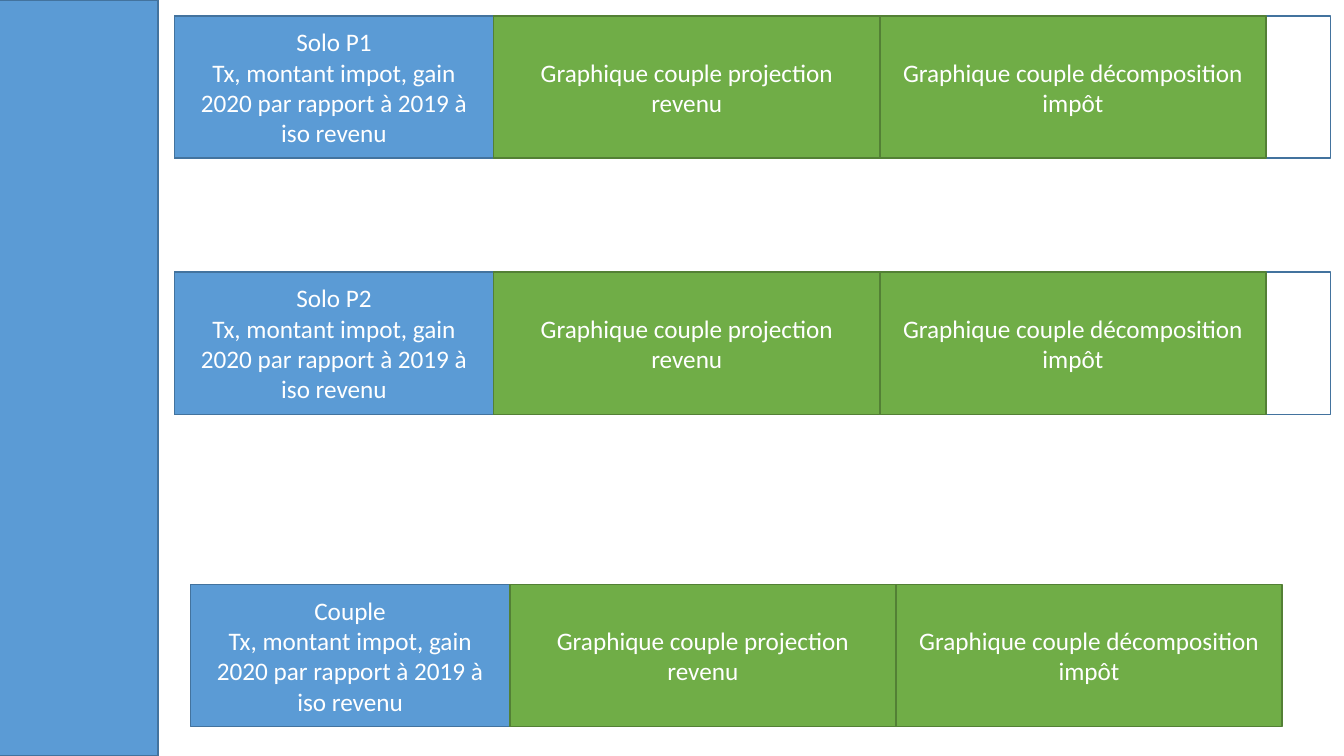
"""Build the slide of solo and couple tax result rows beside a side bar."""
import dataclasses
import typing

import pptx
import pptx.dml.color
import pptx.enum.shapes
import pptx.enum.text
import pptx.util

Pt = pptx.util.Pt
BLUE, BLUE_LINE = "5B9BD5", "43739E"
GREEN, GREEN_LINE = "70AD47", "538035"
WHITE = "FFFFFF"
ROW_H, FRAME_W, SUMMARY_W, CHART_W = 101.5, 825.8, 228.2, 275.8
SUMMARY = "Tx, montant impot, gain 2020 par rapport à 2019 à iso revenu"
CHARTS = ("Graphique couple projection revenu", "Graphique couple décomposition impôt")
FONT = {"name": "Calibri", "size": Pt(18)}
FRAME = {"word_wrap": True, "vertical_anchor": pptx.enum.text.MSO_ANCHOR.MIDDLE}


@dataclasses.dataclass
class Box:
    left: float
    top: float
    width: float
    height: float
    fill: typing.Optional[str]
    line: str
    lines: typing.Sequence[str] = ()


@dataclasses.dataclass
class Row:
    name: str
    left: float
    top: float
    framed: bool


def set_color(color_format, value: str) -> None:
    color_format.rgb = pptx.dml.color.RGBColor.from_string(value)


def set_attrs(target, values: dict) -> None:
    for name, value in values.items():
        setattr(target, name, value)


def draw_box(slide, box: Box) -> None:
    sp = slide.shapes.add_shape(
        pptx.enum.shapes.MSO_SHAPE.RECTANGLE,
        Pt(box.left), Pt(box.top), Pt(box.width), Pt(box.height))
    sp.shadow.inherit = False
    if box.fill:
        sp.fill.solid()
        set_color(sp.fill.fore_color, box.fill)
    else:
        sp.fill.background()
    set_color(sp.line.color, box.line)
    sp.line.width = Pt(1)
    tf = sp.text_frame
    set_attrs(tf, FRAME)
    for i, text in enumerate(box.lines):
        p = tf.add_paragraph() if i else tf.paragraphs[0]
        p.alignment = pptx.enum.text.PP_ALIGN.CENTER
        r = p.add_run()
        r.text = text
        set_attrs(r.font, FONT)
        set_color(r.font.color, WHITE)


def draw_row(slide, row: Row) -> None:
    if row.framed:
        draw_box(slide, Box(row.left, row.top, FRAME_W, ROW_H, None, BLUE_LINE))
    draw_box(slide, Box(row.left, row.top, SUMMARY_W, ROW_H, BLUE, BLUE_LINE,
                        (row.name, SUMMARY)))
    for i, title in enumerate(CHARTS):
        left = row.left + SUMMARY_W + i * CHART_W
        draw_box(slide, Box(left, row.top, CHART_W, ROW_H, GREEN, GREEN_LINE, (title,)))


ROWS = (
    Row("Solo P1", 124.5, 11.5, True),
    Row("Solo P2", 124.5, 194.4, True),
    Row("Couple", 136, 417.6, False),
)

prs = pptx.Presentation()
set_attrs(prs, {"slide_width": Pt(960), "slide_height": Pt(540)})
slide = prs.slides.add_slide(prs.slide_layouts[6])
draw_box(slide, Box(-6.5, 0, 119.5, 540, BLUE, BLUE_LINE))
for row in ROWS:
    draw_row(slide, row)
prs.save("out.pptx")
